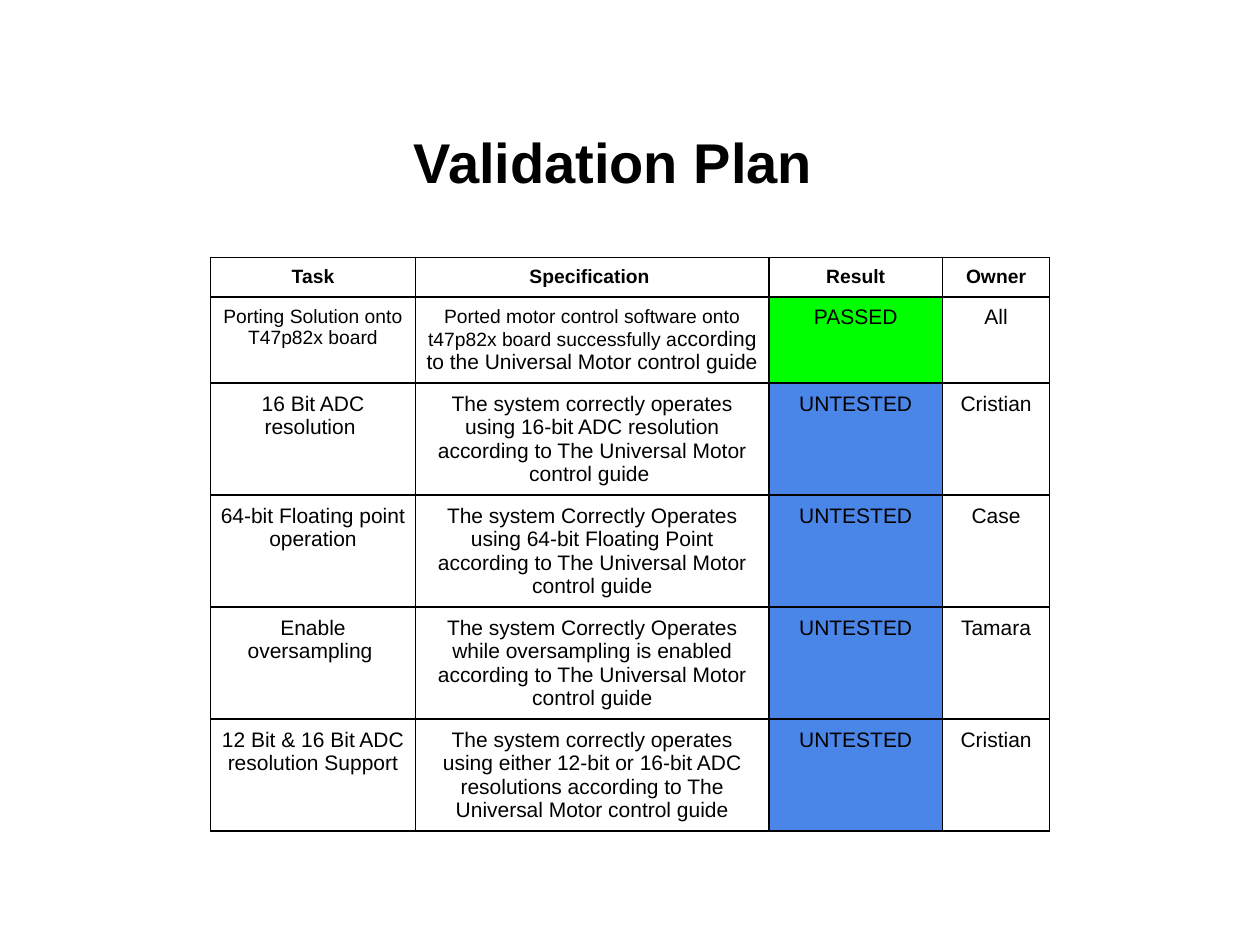
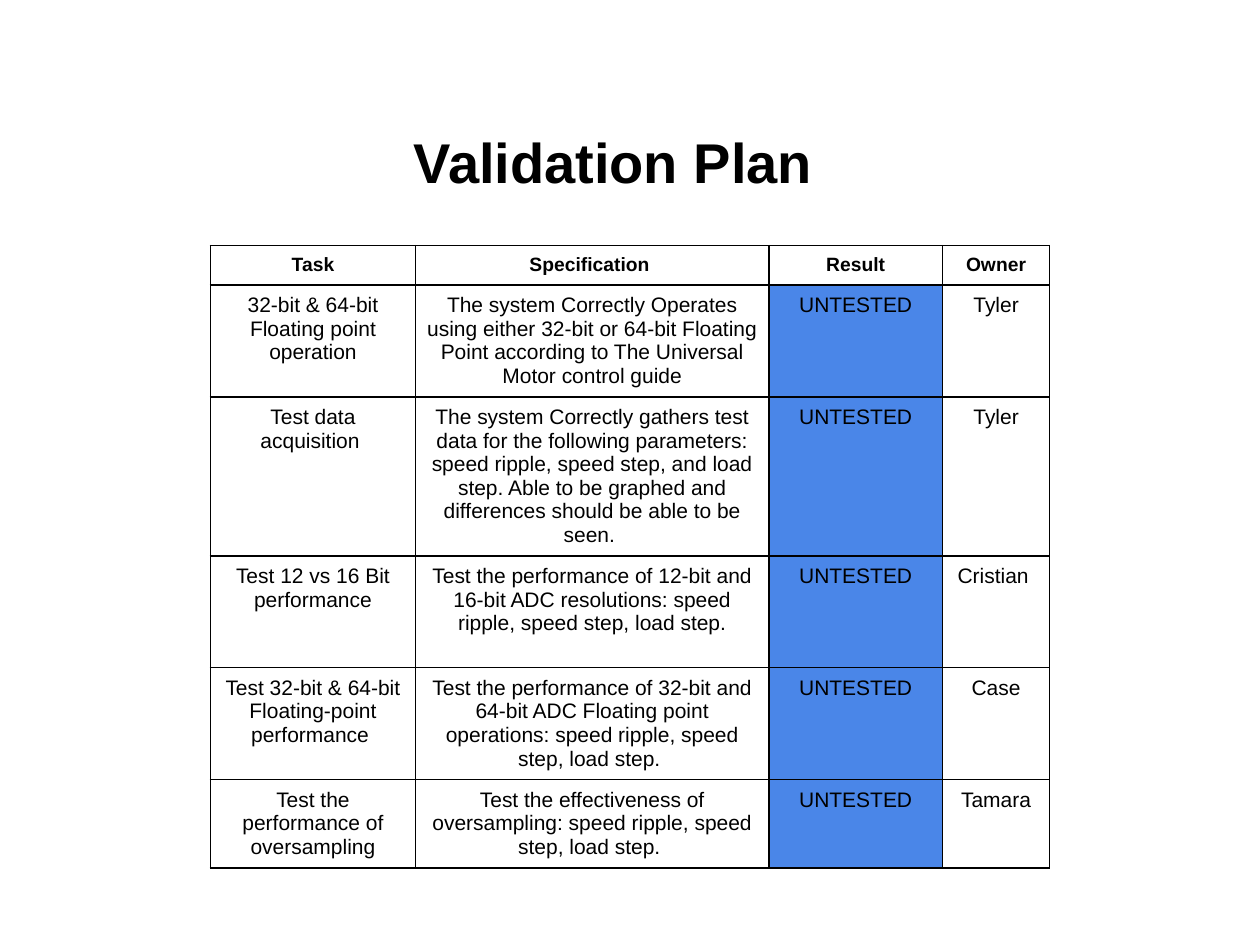
from itertools import product

from lxml.etree import SubElement
from pptx import Presentation
from pptx.dml.color import RGBColor
from pptx.enum.text import MSO_ANCHOR, MSO_AUTO_SIZE, PP_ALIGN
from pptx.oxml.ns import qn
from pptx.util import Cm, Pt

COLORS = {"text": "000000", "border": "000000", "cell": "FFFFFF",
          "PASSED": "00FF00", "UNTESTED": "4A86E8"}
FONT = "Arial"
HEADINGS = ("Task", "Specification ", "Result", "Owner")
HEADING_SIZE, BODY_SIZE = 11, 12
COLUMN_WIDTHS = (4.14, 7.12, 3.5, 2.16)
HEADING_HEIGHT = 0.78
CELL_MARGIN = 0.18
TABLE_LEFT = 4.24
TITLE_BOX = (1.09, 2.13, 22.86, 2.24)

PLANS = [
    {"top": 5.19, "heights": (1.73, 2.25, 2.25, 2.25, 2.25), "tasks": [
        ([("Porting Solution onto T47p82x board", 11)],
         [("Ported motor control software onto t47p82x board successfully a", 11),
          ("ccording to the Universal Motor control guide ", 12)],
         "PASSED", "All"),
        ("16 Bit ADC resolution ",
         "The system correctly operates using 16-bit ADC resolution "
         "according to The Universal Motor control guide ",
         "UNTESTED", "Cristian"),
        ("64-bit Floating point operation",
         "The system Correctly Operates using 64-bit Floating Point "
         "according to The Universal Motor control guide",
         "UNTESTED", "Case"),
        ("Enable oversampling ",
         "The system Correctly Operates while oversampling is enabled "
         "according to The Universal Motor control guide",
         "UNTESTED", "Tamara"),
        ("12 Bit & 16 Bit ADC resolution Support",
         "The system correctly operates using either 12-bit or 16-bit ADC "
         "resolutions according to The Universal Motor control guide",
         "UNTESTED", "Cristian"),
    ]},
    {"top": 4.95, "heights": (2.25, 3.2, 2.25, 2.25, 1.77), "tasks": [
        ("32-bit & 64-bit Floating point operation",
         "The system Correctly Operates using either 32-bit or 64-bit Floating "
         "Point according to The Universal Motor control guide",
         "UNTESTED", "Tyler"),
        ("Test data acquisition ",
         "The system Correctly gathers test data for the following parameters: "
         "speed ripple, speed step, and load step. Able to be graphed and "
         "differences should be able to be seen. ",
         "UNTESTED", "Tyler"),
        ("Test 12 vs 16 Bit performance",
         "Test the performance of 12-bit and 16-bit ADC resolutions: "
         "speed ripple, speed step, load step.",
         "UNTESTED", "Cristian "),
        ("Test 32-bit & 64-bit Floating-point performance ",
         "Test the performance of 32-bit and 64-bit ADC Floating point "
         "operations: speed ripple, speed step, load step. ",
         "UNTESTED", "Case"),
        ("Test the performance of oversampling",
         "Test the effectiveness of oversampling: "
         "speed ripple, speed step, load step. ",
         "UNTESTED", "Tamara"),
    ]},
]


def write_runs(text_frame, runs, bold=False):
    """Write (text, size) runs into one centred paragraph."""
    paragraph = text_frame.paragraphs[0]
    paragraph.alignment = PP_ALIGN.CENTER
    for text, size in runs:
        run = paragraph.add_run()
        run.text = text
        run.font.name = FONT
        run.font.size = Pt(size)
        run.font.bold = bold
        run.font.color.rgb = RGBColor.from_string(COLORS["text"])


def add_borders(cell):
    """Draw a thin line on each side of a cell."""
    properties = cell._tc.get_or_add_tcPr()
    for position, side in enumerate(("lnL", "lnR", "lnT", "lnB")):
        line = SubElement(properties, qn(f"a:{side}"), w=str(Pt(1)))
        fill = SubElement(line, qn("a:solidFill"))
        SubElement(fill, qn("a:srgbClr"), val=COLORS["border"])
        properties.insert(position, line)


def format_cell(cell, content, bold):
    """Fill, frame and write one cell."""
    cell.margin_left = cell.margin_right = Cm(CELL_MARGIN)
    cell.margin_top = cell.margin_bottom = Cm(CELL_MARGIN)
    cell.vertical_anchor = MSO_ANCHOR.TOP
    fill_name = content if content in ("PASSED", "UNTESTED") else "cell"
    cell.fill.solid()
    cell.fill.fore_color.rgb = RGBColor.from_string(COLORS[fill_name])
    add_borders(cell)
    size = HEADING_SIZE if bold else BODY_SIZE
    runs = [(content, size)] if isinstance(content, str) else content
    write_runs(cell.text_frame, runs, bold)


def place_title(slide, box):
    """Move and format the title placeholder."""
    title = slide.shapes.title
    title.left, title.top, title.width, title.height = map(Cm, box)
    text_frame = title.text_frame
    text_frame.word_wrap = True
    text_frame.auto_size = MSO_AUTO_SIZE.NONE
    text_frame.vertical_anchor = MSO_ANCHOR.MIDDLE
    write_runs(text_frame, [("Validation Plan ", 32)], bold=True)


def place_plan_table(slide, left, top, tasks, task_heights):
    """Place the table of tasks with its heading row."""
    rows = [HEADINGS, *tasks]
    heights = (HEADING_HEIGHT, *task_heights)
    shape = slide.shapes.add_table(
        len(rows), len(HEADINGS), Cm(left), Cm(top),
        Cm(sum(COLUMN_WIDTHS)), Cm(sum(heights)))
    table = shape.table
    table.first_row = table.horz_banding = False
    for column, width in zip(table.columns, COLUMN_WIDTHS):
        column.width = Cm(width)
    for row, height in zip(table.rows, heights):
        row.height = Cm(height)
    for row, column in product(range(len(rows)), range(len(HEADINGS))):
        format_cell(table.cell(row, column), rows[row][column], bold=row == 0)


def add_plan_slide(presentation, plan):
    """Add one validation plan slide."""
    slide = presentation.slides.add_slide(presentation.slide_layouts[5])
    place_title(slide, TITLE_BOX)
    place_plan_table(slide, TABLE_LEFT, plan["top"], plan["tasks"], plan["heights"])


def main():
    """Build and save the presentation."""
    presentation = Presentation()
    presentation.slide_width = Cm(25.4)
    presentation.slide_height = Cm(19.05)
    for plan in PLANS:
        add_plan_slide(presentation, plan)
    presentation.save("out.pptx")


if __name__ == "__main__":
    main()
